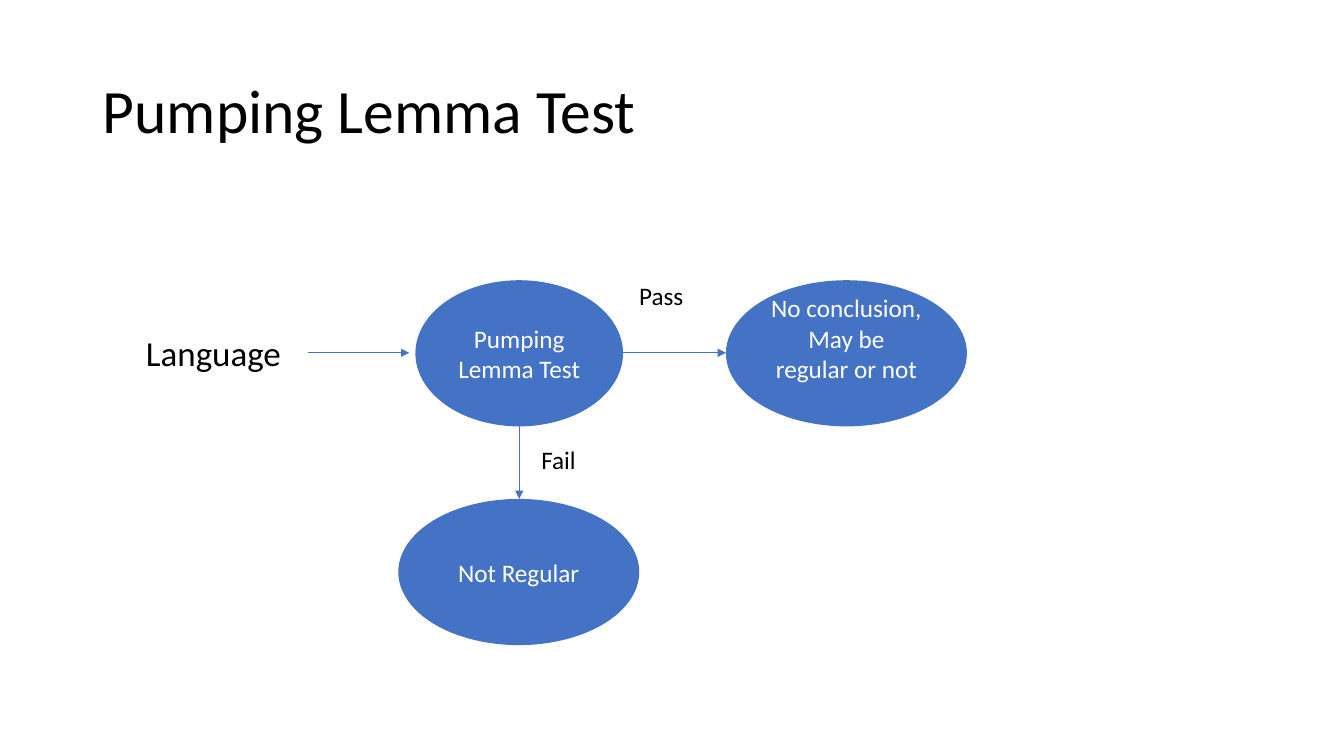
from pptx import Presentation
from pptx.dml.color import RGBColor as RGB
from pptx.enum.shapes import MSO_CONNECTOR as Conn, MSO_SHAPE as Form
from pptx.enum.text import MSO_ANCHOR as Anchor, PP_ALIGN as Align
from pptx.oxml.ns import qn
from pptx.util import Inches, Pt
from lxml.etree import SubElement


def color(code):
    return RGB.from_string(code)


class Slide:
    face = "Calibri"
    blue = "4472C4"
    black = "000000"
    white = "FFFFFF"

    def __init__(self, deck):
        self.page = deck.slides.add_slide(deck.slide_layouts[5])
        self.shapes = self.page.shapes

    def letter(self, frame, text, size, ink, align=Align.LEFT):
        frame.word_wrap = True
        frame.text = text
        for para in frame.paragraphs:
            para.alignment = align
            para.font.name = self.face
            para.font.size = Pt(size)
            para.font.color.rgb = color(ink)

    def title(self, text, *box):
        head = self.shapes.title
        head.left, head.top, head.width, head.height = map(Inches, box)
        frame = head.text_frame
        self.letter(frame, text, 44, self.black)
        frame.vertical_anchor = Anchor.MIDDLE
        frame.paragraphs[0].line_spacing = 0.9

    def label(self, text, size, *box):
        note = self.shapes.add_textbox(*map(Inches, box))
        self.letter(note.text_frame, text, size, self.black)

    def oval(self, text, left, top, width, base=0.05):
        node = self.shapes.add_shape(
            Form.OVAL, Inches(left), Inches(top), Inches(width), Inches(1.45))
        node.shadow.inherit = False
        node.fill.solid()
        node.fill.fore_color.rgb = color(self.blue)
        node.line.fill.background()
        frame = node.text_frame
        self.letter(frame, text, 18, self.white, Align.CENTER)
        frame.vertical_anchor = Anchor.MIDDLE
        frame.margin_bottom = Inches(base)

    def arrow(self, *ends):
        link = self.shapes.add_connector(Conn.STRAIGHT, *map(Inches, ends))
        link.line.color.rgb = color(self.blue)
        link.line.width = Pt(0.5)
        props = link._element.spPr
        SubElement(props.get_or_add_ln(), qn("a:tailEnd"), type="triangle")
        SubElement(props, qn("a:effectLst"))


def main():
    deck = Presentation()
    deck.slide_width, deck.slide_height = Inches(13.33), Inches(7.5)
    slide = Slide(deck)
    slide.title("Pumping Lemma Test", 0.92, 0.4, 11.5, 1.45)

    slide.label("Language", 25, 1.35, 3.24, 1.7, 0.52)
    slide.oval("Pumping Lemma Test", 4.12, 2.78, 2.06)
    slide.oval("No conclusion,\nMay be regular or not", 7.2, 2.78, 2.39, 0.35)
    slide.oval("Not Regular", 3.95, 4.95, 2.39)

    slide.arrow(3.05, 3.5, 4.06, 3.5)
    slide.arrow(6.18, 3.5, 7.2, 3.5)
    slide.arrow(5.15, 4.22, 5.15, 4.95)
    slide.label("Fail", 18, 5.27, 4.36, 1.39, 0.4)
    slide.label("Pass", 18, 6.24, 2.73, 1.39, 0.4)
    deck.save("out.pptx")


if __name__ == "__main__":
    main()
